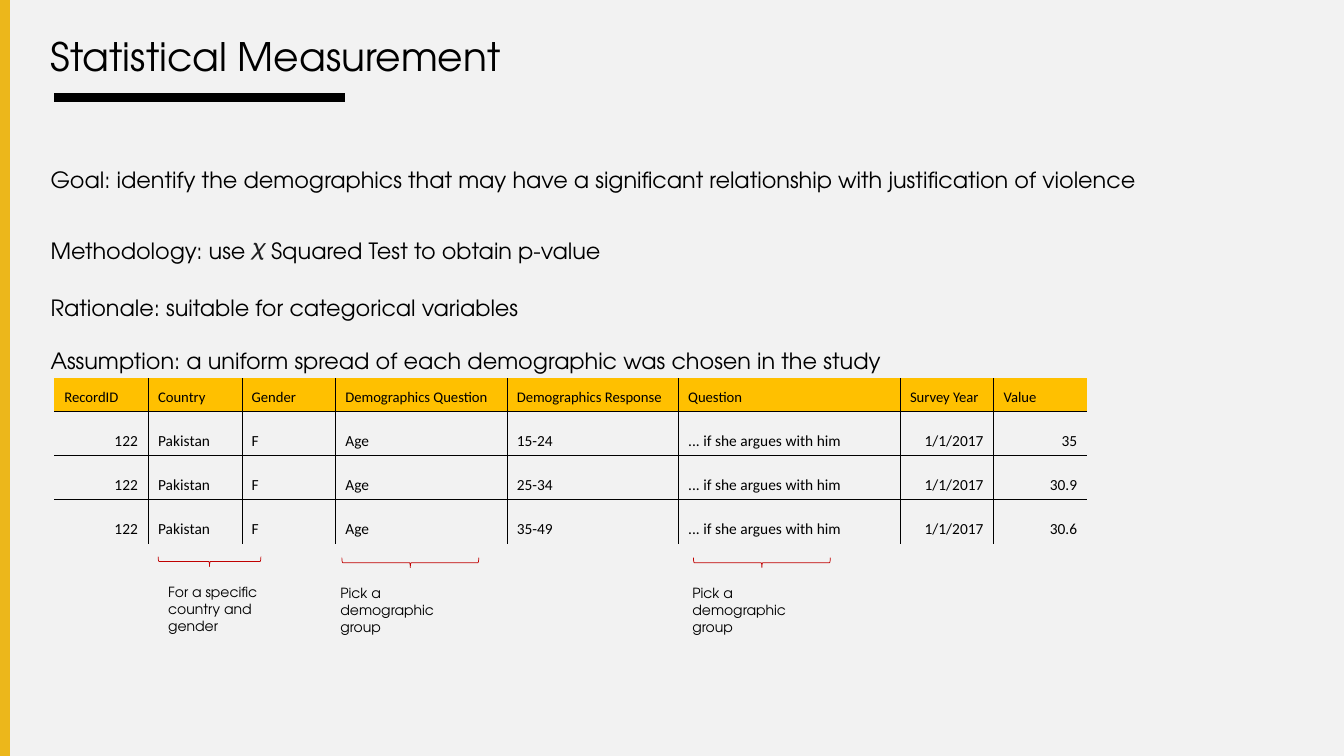
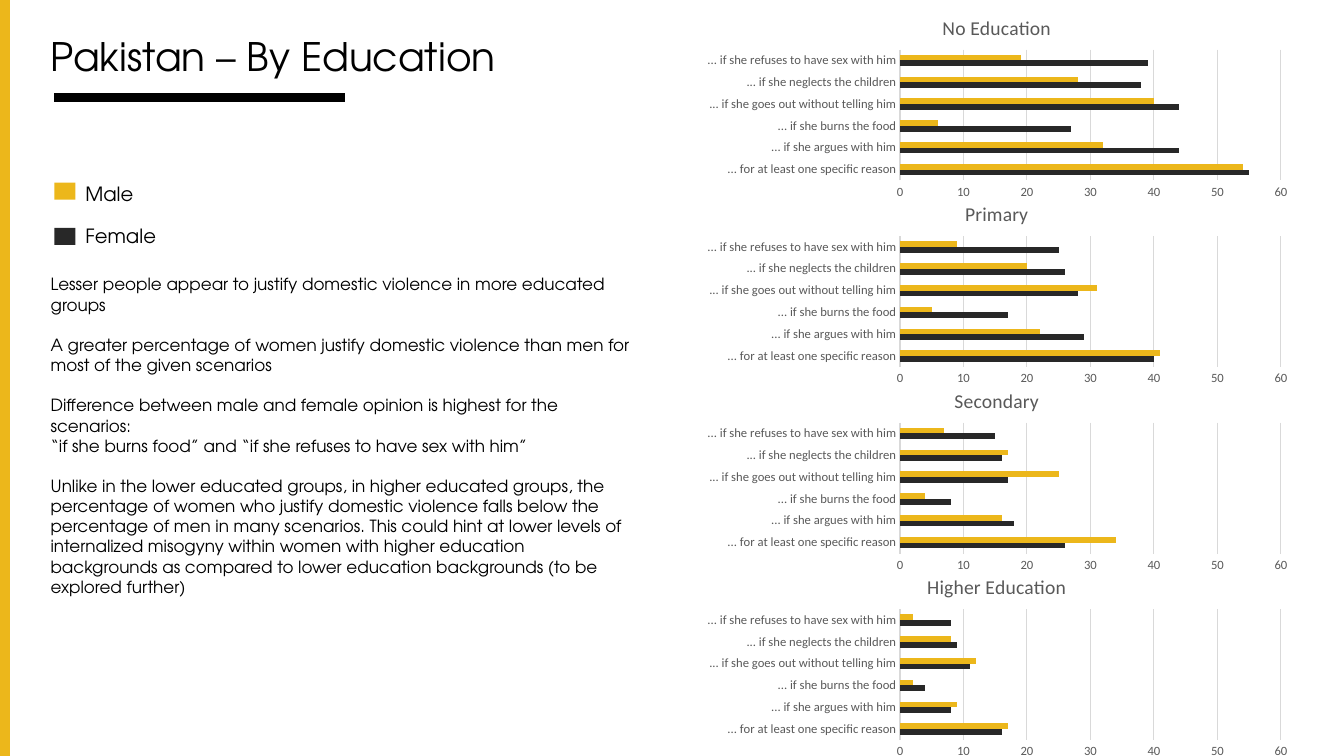
from typing import NamedTuple

from lxml.etree import SubElement
from pptx import Presentation
from pptx.chart.data import CategoryChartData
from pptx.dml.color import RGBColor
from pptx.enum.chart import XL_CHART_TYPE, XL_TICK_MARK
from pptx.enum.shapes import MSO_CONNECTOR, MSO_SHAPE
from pptx.enum.text import MSO_ANCHOR, MSO_AUTO_SIZE, PP_ALIGN
from pptx.oxml import parse_xml
from pptx.oxml.ns import nsdecls, qn
from pptx.util import Cm, Pt

# Shared look
BLACK = RGBColor(0x00, 0x00, 0x00)
WHITE = RGBColor(0xFF, 0xFF, 0xFF)
PALE = RGBColor(0xF2, 0xF2, 0xF2)
GOLD = RGBColor(0xEC, 0xB7, 0x1B)
AMBER = RGBColor(0xFF, 0xC0, 0x00)
DARK = RGBColor(0x28, 0x28, 0x28)
GRAY = RGBColor(0x59, 0x59, 0x59)
GRID = RGBColor(0xD9, 0xD9, 0xD9)
RED = RGBColor(0xC0, 0x00, 0x00)
INK = RGBColor(0x20, 0x21, 0x22)
FONT = "TeX Gyre Adventor"
SANS = "Calibri"
WIDE, HIGH = 33.87, 19.05


class Box(NamedTuple):
    left: float
    top: float
    width: float
    height: float

    def size(self) -> list:
        return [Cm(value) for value in self]


class Piece(NamedTuple):
    text: str
    size: float | None = None
    color: RGBColor | None = None
    raised: int = 0


class Line(NamedTuple):
    pieces: tuple[Piece, ...]
    gap: float = 0


class Note(NamedTuple):
    text: str
    left: float
    top: float
    mid: float
    span: float


class Key(NamedTuple):
    text: str
    color: RGBColor
    top: float
    mark: float


class Plot(NamedTuple):
    title: str
    female: tuple[int, ...]
    male: tuple[int, ...]


HEAD = ("RecordID", "Country", "Gender", "Demographics Question",
        "Demographics Response", "Question", "Survey Year", "Value")
ROWS = [("122", "Pakistan", "F", "Age", ages, "... if she argues with him", "1/1/2017", value)
        for ages, value in (("15-24", "35"), ("25-34", "30.9"), ("35-49", "30.6"))]
COLS = (2.36, 2.36, 2.36, 4.32, 4.32, 5.59, 2.36, 2.36)
RIGHT = (0, 6, 7)

NOTES = (
    Note("For a specific country and gender", 3.99, 14.58, 5.28, 2.59),
    Note("Pick a demographic group", 8.33, 14.61, 10.34, 3.45),
    Note("Pick a demographic group", 17.2, 14.61, 19.2, 3.45),
)

KEYS = (Key("Male", GOLD, 4.47, 4.6), Key("Female", DARK, 5.51, 5.74))

REASONS = (
    "... for at least one specific reason",
    "... if she argues with him",
    "... if she burns the food",
    "... if she goes out without telling him",
    "... if she neglects the children",
    "... if she refuses to have sex with him",
)
PLOTS = (
    Plot("No Education", (55, 44, 27, 44, 38, 39), (54, 32, 6, 40, 28, 19)),
    Plot("Primary", (40, 29, 17, 28, 26, 25), (41, 22, 5, 31, 20, 9)),
    Plot("Secondary", (26, 18, 8, 17, 16, 15), (34, 16, 4, 25, 17, 7)),
    Plot("Higher Education", (16, 8, 4, 11, 9, 8), (17, 9, 2, 12, 8, 2)),
)


def plain(text: str, gap: float = 0) -> Line:
    return Line((Piece(text),), gap)


def write(frame, *lines: Line, size: float, font: str = FONT, color: RGBColor = BLACK,
          align=PP_ALIGN.LEFT, space: float = 1) -> None:
    frame.word_wrap = True
    for index, line in enumerate(lines):
        para = frame.paragraphs[0] if index == 0 else frame.add_paragraph()
        props = para._p.get_or_add_pPr()
        props.set("marL", "0")
        props.set("indent", "0")
        SubElement(props, qn("a:buNone"))
        para.alignment = align
        para.line_spacing = space
        para.space_before = Pt(line.gap)
        for piece in line.pieces:
            run = para.add_run()
            run.text = piece.text
            run.font.name = font
            run.font.size = Pt(piece.size or size)
            run.font.bold = False
            run.font.color.rgb = piece.color or color
            if piece.raised:
                run._r.get_or_add_rPr().set("baseline", str(piece.raised * 1000))


def label(slide, box: Box, text: str, size: float) -> None:
    write(slide.shapes.add_textbox(*box.size()).text_frame, plain(text), size=size)


def block(slide, box: Box, color: RGBColor) -> None:
    shape = slide.shapes.add_shape(MSO_SHAPE.RECTANGLE, *box.size())
    shape.shadow.inherit = False
    shape.fill.solid()
    shape.fill.fore_color.rgb = color
    shape.line.fill.background()


def start(deck, title: str, back: RGBColor, box: Box, lines: list[Line], size: float):
    """Add a slide with the shared title, band and rule, and its body text."""
    slide = deck.slides.add_slide(deck.slide_layouts[1])
    slide.background.fill.solid()
    slide.background.fill.fore_color.rgb = back
    head, body = slide.shapes.title, slide.placeholders[1]
    for holder, place in ((head, Box(1.02, -0.36, 29.21, 3.68)), (body, box)):
        holder.left, holder.top, holder.width, holder.height = place.size()
        holder.text_frame.auto_size = MSO_AUTO_SIZE.NONE
    head.text_frame.vertical_anchor = MSO_ANCHOR.MIDDLE
    write(head.text_frame, plain(title), size=28, space=0.9)
    write(body.text_frame, *lines, size=size)

    block(slide, Box(0, 0, 0.25, HIGH), GOLD)
    rule = slide.shapes.add_connector(
        MSO_CONNECTOR.STRAIGHT, Cm(1.37), Cm(2.46), Cm(8.69), Cm(2.46))
    rule.line.color.rgb = BLACK
    rule.line.width = Pt(6)
    SubElement(rule._element.spPr, qn("a:effectLst"))
    return slide


def edge(cell, sides: dict[str, bool]) -> None:
    """Draw a hairline on the sides marked True and clear the others."""
    props = cell._tc.get_or_add_tcPr()
    for index, (side, shown) in enumerate(sides.items()):
        paint = (f'<a:solidFill><a:srgbClr val="{BLACK}"/></a:solidFill>'
                 if shown else "<a:noFill/>")
        props.insert(index, parse_xml(
            f'<a:ln{side} {nsdecls("a")} w="3175">{paint}</a:ln{side}>'))


def records(slide) -> None:
    rows = [HEAD, *ROWS]
    box = Box(1.37, 9.53, sum(COLS), 4.17)
    table = slide.shapes.add_table(len(rows), len(COLS), *box.size()).table
    table.first_row = table.horz_banding = False
    for col, width in zip(table.columns, COLS):
        col.width = Cm(width)
    for r, row in enumerate(rows):
        table.rows[r].height = Cm(1.11 if r else 0.84)
        for c, text in enumerate(row):
            cell = table.cell(r, c)
            cell.vertical_anchor = MSO_ANCHOR.BOTTOM
            if r:
                cell.fill.background()
            else:
                cell.fill.solid()
                cell.fill.fore_color.rgb = AMBER
            write(cell.text_frame, plain(text), size=11 if r else 10.5, font=SANS,
                  align=PP_ALIGN.RIGHT if r and c in RIGHT else PP_ALIGN.LEFT)
            edge(cell, {"L": c > 0, "R": c < len(COLS) - 1,
                        "T": r > 0, "B": r < len(rows) - 1})


def remark(slide, note: Note) -> None:
    thick = 0.25
    box = Box(note.mid - thick / 2, note.top - 0.43 - note.span / 2, thick, note.span)
    brace = slide.shapes.add_shape(MSO_SHAPE.RIGHT_BRACE, *box.size())
    brace.rotation = 90
    brace.shadow.inherit = False
    brace.fill.background()
    brace.line.color.rgb = RED
    brace.line.width = Pt(0.5)
    label(slide, Box(note.left, note.top, 3.45, 1.55), note.text, 10)


def graph(slide, plot: Plot, box: Box) -> None:
    data = CategoryChartData(number_format="0")
    data.categories = REASONS
    data.add_series("Female", plot.female)
    data.add_series("Male", plot.male)
    chart = slide.shapes.add_chart(XL_CHART_TYPE.BAR_CLUSTERED, *box.size(), data).chart
    chart.font.name = SANS
    chart.font.size = Pt(10)
    chart.has_legend = False
    write(chart.chart_title.text_frame, plain(plot.title), size=14, font=SANS,
          color=GRAY, align=PP_ALIGN.CENTER)
    chart.chart_title.include_in_layout = False

    # Bars
    bars = chart.plots[0]
    bars.gap_width, bars.overlap, bars.vary_by_categories = 182, 0, False
    for series, color in zip(bars.series, (DARK, GOLD)):
        series.format.fill.solid()
        series.format.fill.fore_color.rgb = color

    # Axes
    cats, vals = chart.category_axis, chart.value_axis
    for axis in (cats, vals):
        axis.major_tick_mark = axis.minor_tick_mark = XL_TICK_MARK.NONE
        axis.tick_labels.font.name = SANS
        axis.tick_labels.font.size = Pt(9)
        axis.tick_labels.font.color.rgb = GRAY
    vals.minimum_scale, vals.maximum_scale, vals.major_unit = 0, 60, 10
    vals.has_major_gridlines = True
    vals.format.line.fill.background()
    for line in (cats.format.line, vals.major_gridlines.format.line):
        line.color.rgb = GRID
        line.width = Pt(0.75)

    # Fixed plot area, as shares of the chart
    area = chart._chartSpace.chart.plotArea
    for old in area.findall(qn("c:layout")):
        area.remove(old)
    spots = "".join(f'<c:{name} val="{value}"/>' for name, value in (
        ("layoutTarget", "inner"), ("xMode", "edge"), ("yMode", "edge"),
        ("x", 0.34), ("y", 0.24), ("w", 0.63), ("h", 0.65)))
    area.insert(0, parse_xml(
        f'<c:layout {nsdecls("c")}><c:manualLayout>{spots}</c:manualLayout></c:layout>'))


def method(deck) -> None:
    chi = Line((Piece("Methodology: use"), Piece(" ", 28, raised=10), Piece("𝜒 ", 28, INK, 10),
                Piece("Squared Test to obtain p-value")), 19.2)
    slide = start(deck, "Statistical Measurement", PALE, Box(1.02, 4.06, 30.96, 5.16), [
        plain("Goal: identify the demographics that may have a significant relationship "
              "with justification of violence"),
        chi,
        plain("Rationale: suitable for categorical variables", 19.2),
        plain("Assumption: a uniform spread of each demographic was chosen in the study", 19.2),
    ], 16)
    records(slide)
    for note in NOTES:
        remark(slide, note)


def school(deck) -> None:
    slide = start(deck, "Pakistan – By Education", WHITE, Box(1.02, 6.78, 15.24, 8.97), [
        plain("Lesser people appear to justify domestic violence in more educated groups"),
        plain("A greater percentage of women justify domestic violence than men for most "
              "of the given scenarios", 14.4),
        plain("Difference between male and female opinion is highest for the scenarios:", 14.4),
        plain("“if she burns food” and “if she refuses to have sex with him”"),
        plain("Unlike in the lower educated groups, in higher educated groups, the percentage "
              "of women who justify domestic violence falls below the percentage of men in "
              "many scenarios. This could hint at lower levels of internalized misogyny within "
              "women with higher education backgrounds as compared to lower education "
              "backgrounds (to be explored further)", 14.4),
    ], 12)
    for key in KEYS:
        block(slide, Box(1.37, key.mark, 0.53, 0.43), key.color)
        label(slide, Box(1.9, key.top, 9.4, 0.86), key.text, 14)
    for index, plot in enumerate(PLOTS):
        graph(slide, plot, Box(17.5, 0.03 + 4.7 * index, 15.24, 5.08))


def main() -> None:
    deck = Presentation()
    deck.slide_width, deck.slide_height = Cm(WIDE), Cm(HIGH)
    method(deck)
    school(deck)
    deck.save("out.pptx")


if __name__ == "__main__":
    main()
